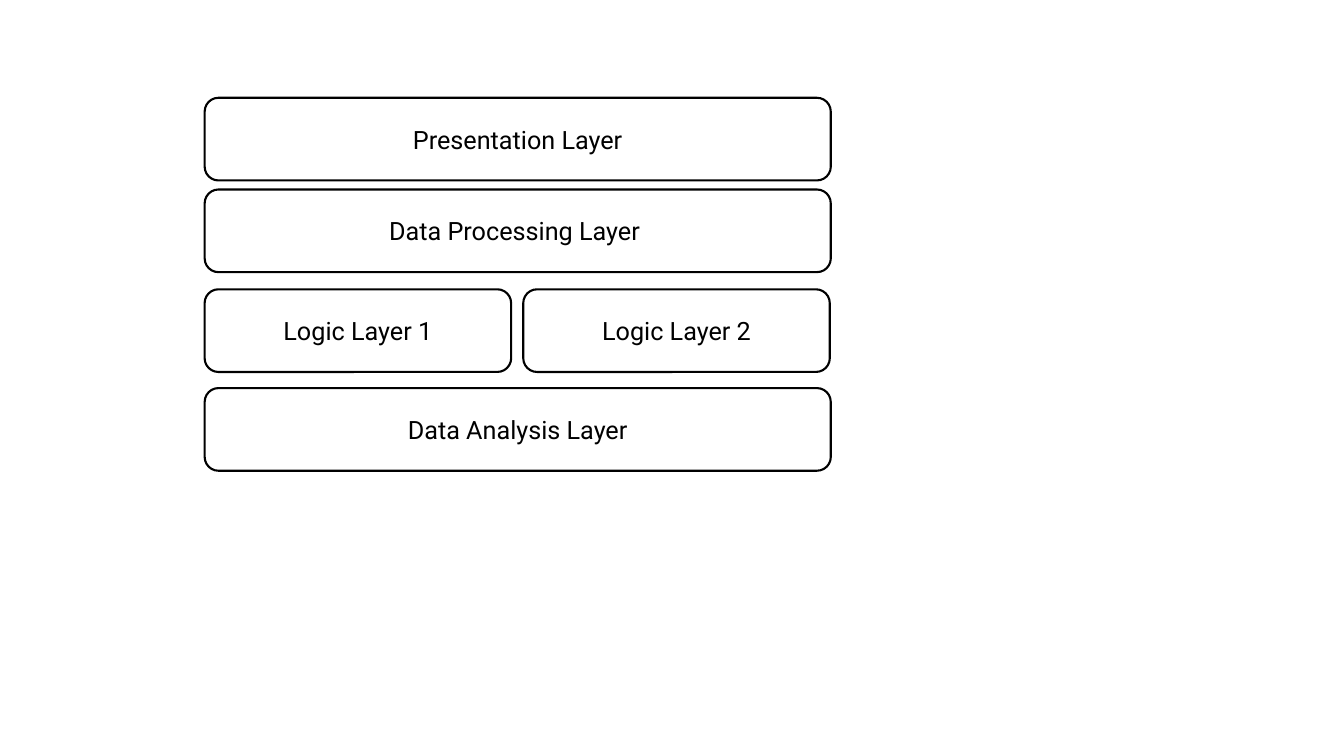
from pptx import Presentation
from pptx import util as u
from pptx.dml.color import RGBColor
from pptx.enum import shapes, text

PX = u.Inches(1) // 100  # 100 px to the inch
COLORS = {"paper": "FFFFFF", "ink": "000000"}

# Layer stack: top edge and the layers side by side in that row
STACK_LEFT, STACK_WIDTH, LAYER_HEIGHT, LAYER_GAP = 203, 621, 82, 12
LAYER_ROWS = [
    (97, ["Presentation Layer"]),
    (188, ["Data Processing Layer "]),
    (287, ["Logic Layer 1", "Logic Layer 2"]),
    (385, ["Data Analysis Layer"]),
]


class LayerSlide:
    """Holds the style and the slide on which the layers are drawn."""

    font_format = {"name": "Roboto", "size": u.Pt(18)}
    frame_format = {"word_wrap": True, "vertical_anchor": text.MSO_ANCHOR.MIDDLE}

    def __init__(self, slide):
        self.slide = slide
        self.stack = slide.shapes.add_group_shape()

    def color(self, name):
        return RGBColor.from_string(COLORS[name])

    def background(self):
        fill = self.slide.background.fill
        fill.solid()
        fill.fore_color.rgb = self.color("paper")

    def layer(self, label, left, top, width, height):
        box = self.stack.shapes.add_shape(
            shapes.MSO_SHAPE.ROUNDED_RECTANGLE,
            *(PX * length for length in (left, top, width, height)))
        box.shadow.inherit = False
        box.fill.solid()
        box.fill.fore_color.rgb = self.color("paper")
        box.line.color.rgb = self.color("ink")
        box.line.width = u.Pt(1.5)

        # Label
        frame = box.text_frame
        frame.text = label
        paragraph = frame.paragraphs[0]
        paragraph.alignment = text.PP_ALIGN.CENTER
        font = paragraph.runs[0].font
        font.color.rgb = self.color("ink")
        for target, values in ((frame, self.frame_format), (font, self.font_format)):
            for attribute, value in values.items():
                setattr(target, attribute, value)

    def layer_row(self, top, labels):
        count = len(labels)
        width = (STACK_WIDTH - LAYER_GAP * (count - 1)) // count
        for column, label in enumerate(labels):
            left = STACK_LEFT + column * (width + LAYER_GAP)
            self.layer(label, left, top, width, LAYER_HEIGHT)


def main():
    deck = Presentation()
    deck.slide_width, deck.slide_height = u.Inches(13.33), u.Inches(7.5)
    blank_layout = deck.slide_layouts[6]
    architecture = LayerSlide(deck.slides.add_slide(blank_layout))
    architecture.background()

    # Layers from top to bottom
    for top, labels in LAYER_ROWS:
        architecture.layer_row(top, labels)

    deck.save("out.pptx")


if __name__ == "__main__":
    main()
